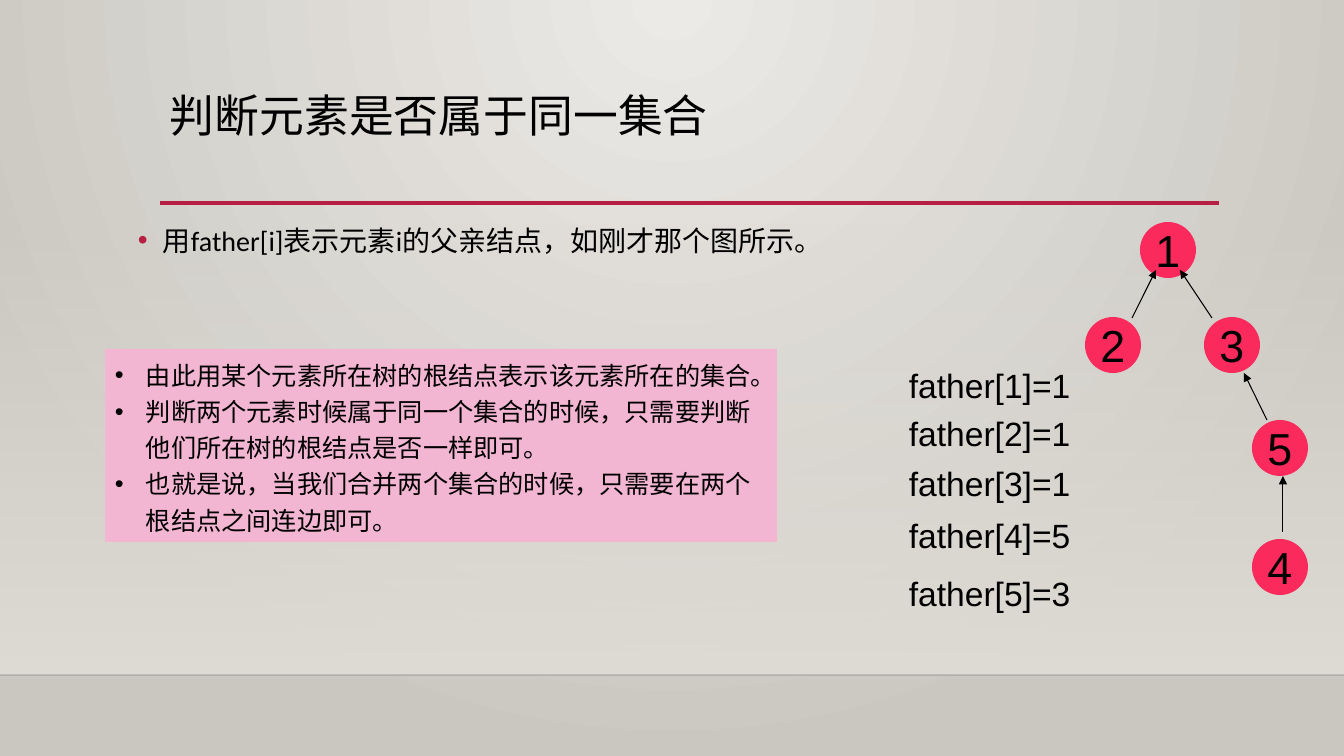
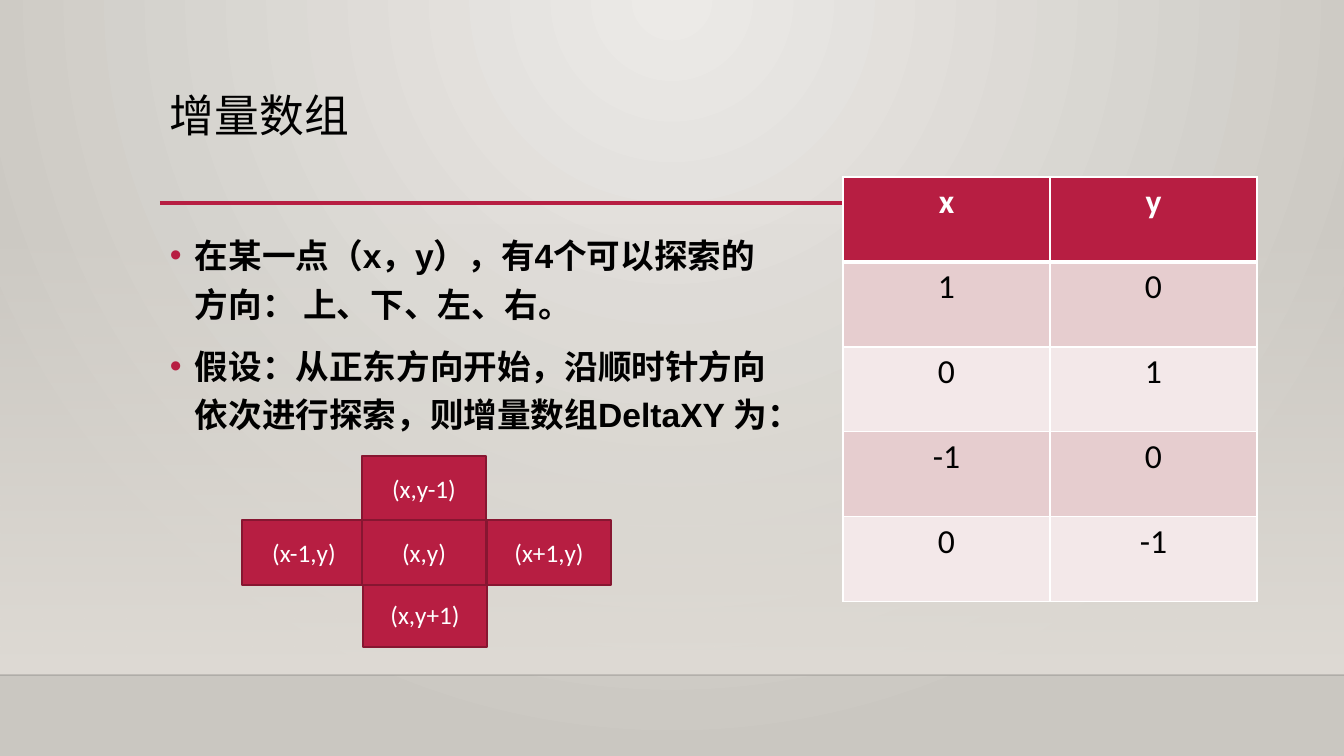
import lxml.etree
import pptx
import pptx.dml.color
import pptx.enum.shapes
import pptx.enum.text
import pptx.oxml.ns
import pptx.util

PX = 12192000 / 1344
SHAPE = pptx.enum.shapes.MSO_SHAPE
ALIGN = pptx.enum.text.PP_ALIGN
ANCHOR = pptx.enum.text.MSO_ANCHOR
qn = pptx.oxml.ns.qn


def px(n):
    return pptx.util.Emu(round(n * PX))


def rgb(hex_color):
    return pptx.dml.color.RGBColor.from_string(hex_color)


def sub(parent, tag, **attrs):
    return lxml.etree.SubElement(parent, qn(tag), attrs)


def set_alpha(element, *percents):
    for color, percent in zip(element.iter(qn("a:srgbClr")), percents):
        sub(color, "a:alpha", val=str(percent * 1000))


class Deck:
    RED, DARK_RED, PINK, NODE = "B71E42", "871631", "F2B5D2", "FA2B5C"
    BLACK, WHITE = "000000", "FFFFFF"
    BANDS = ("F3E8E9", "E6CDCF")

    def __init__(self):
        self.prs = pptx.Presentation()
        self.prs.slide_width, self.prs.slide_height = px(1344), px(756)
        self.s = None

    def slide(self, title):
        self.s = self.prs.slides.add_slide(self.prs.slide_layouts[6])
        # Radial background
        self.gradient(self.s.background.fill, "ECEAE7", "CAC7C1")
        grad = next(self.s.element.iter(qn("a:gradFill")))
        grad.remove(grad.find(qn("a:lin")))
        circle = sub(grad, "a:path")
        circle.set("path", "circle")
        sub(circle, "a:fillToRect", l="43000", t="0", r="43000", b="100000")
        # Fading band, floor line and title rule
        band = self.shape(SHAPE.RECTANGLE, 0, 223, 1344, 452)
        self.gradient(band.fill, "DFDBD5", "DFDBD5")
        band.fill.gradient_angle = 270
        set_alpha(band.element.spPr, 0, 100)
        floor = self.line(0, 675, 1344, 675, "000001", 1)
        set_alpha(floor.element.spPr, 20)
        self.line(160, 203, 1219, 203, self.RED, 2.5)
        self.textbox(160, 89, 1059, 115, [title], size=32, spacing=0.9)

    def gradient(self, fill, *colors):
        fill.gradient()
        for stop, color, pos in zip(fill.gradient_stops, colors, (0, 1)):
            stop.color.rgb, stop.position = rgb(color), pos

    def shape(self, kind, x, y, w, h, fill=None, line=None):
        sp = self.s.shapes.add_shape(kind, px(x), px(y), px(w), px(h))
        sp.shadow.inherit = False
        if fill:
            sp.fill.solid()
            sp.fill.fore_color.rgb = rgb(fill)
        if line:
            sp.line.color.rgb = rgb(line)
            sp.line.width = pptx.util.Pt(1.25)
        else:
            sp.line.fill.background()
        return sp

    def line(self, x1, y1, x2, y2, color, width, arrow=False):
        c = self.s.shapes.add_connector(
            pptx.enum.shapes.MSO_CONNECTOR.STRAIGHT, px(x1), px(y1), px(x2), px(y2))
        c.line.color.rgb = rgb(color)
        c.line.width = pptx.util.Pt(width)
        if arrow:
            sub(c.element.spPr.find(qn("a:ln")), "a:tailEnd", type="triangle")
        sub(c.element.spPr, "a:effectLst")
        return c

    def put_text(self, tf, lines, size, font="Calibri", color=BLACK, bold=False,
                 align=ALIGN.LEFT, spacing=None, before=0, indent=0, bullet=None):
        for i, text in enumerate(lines):
            p = tf.add_paragraph() if i else tf.paragraphs[0]
            p.alignment = align
            p.space_before = pptx.util.Pt(before)
            if spacing:
                p.line_spacing = spacing
            if bullet:
                pPr = p._p.get_or_add_pPr()
                pPr.set("marL", str(px(indent)))
                pPr.set("indent", str(-px(indent)))
                sub(sub(pPr, "a:buClr"), "a:srgbClr", val=bullet)
                sub(pPr, "a:buFont", typeface="Arial")
                sub(pPr, "a:buChar", char="•")
            r = p.add_run()
            r.text = text
            r.font.size, r.font.name, r.font.bold = pptx.util.Pt(size), font, bold
            r.font.color.rgb = rgb(color)

    def textbox(self, x, y, w, h, lines, **style):
        tf = self.s.shapes.add_textbox(px(x), px(y), px(w), px(h)).text_frame
        tf.word_wrap = True
        self.put_text(tf, lines, **style)

    def bullets(self, x, y, w, h, lines, **style):
        self.textbox(x, y, w, h, lines, before=10, indent=25, bullet=self.RED, **style)

    def panel(self, x, y, w, h, lines):
        tf = self.shape(SHAPE.RECTANGLE, x, y, w, h, self.PINK).text_frame
        tf.word_wrap, tf.vertical_anchor = True, ANCHOR.TOP
        self.put_text(tf, lines, size=18, spacing=1.2, indent=31, bullet=self.BLACK)

    def node(self, x, y, text):
        tf = self.shape(SHAPE.OVAL, x, y, 56, 56, self.NODE).text_frame
        tf.word_wrap, tf.vertical_anchor = False, ANCHOR.MIDDLE
        self.put_text(tf, [text], size=32, font="Arial", align=ALIGN.CENTER)

    def cell(self, x, y, text):
        sp = self.shape(SHAPE.RECTANGLE, x, y, 124, 65, self.RED, self.DARK_RED)
        sp.text_frame.vertical_anchor = ANCHOR.MIDDLE
        self.put_text(sp.text_frame, [text], size=18, color=self.WHITE, align=ALIGN.CENTER)

    def border(self, cell, side, width):
        ln = sub(cell._tc.get_or_add_tcPr(), "a:ln" + side, w=str(pptx.util.Pt(width)))
        sub(sub(ln, "a:solidFill"), "a:srgbClr", val=self.WHITE)

    def table(self, x, y, col_w, row_h, rows):
        n, m = len(rows), len(rows[0])
        table = self.s.shapes.add_table(
            n, m, px(x), px(y), px(col_w * m), px(row_h * n)).table
        for col in table.columns:
            col.width = px(col_w)
        for i, row in enumerate(rows):
            table.rows[i].height = px(row_h)
            for j, text in enumerate(row):
                cell = table.cell(i, j)
                for side in "LRTB":
                    under_header = (i, side) in ((0, "B"), (1, "T"))
                    self.border(cell, side, 3 if under_header else 1)
                cell.fill.solid()
                cell.fill.fore_color.rgb = rgb(self.BANDS[i % 2] if i else self.RED)
                self.put_text(cell.text_frame, [text], size=24, bold=i == 0,
                              color=self.BLACK if i else self.WHITE, align=ALIGN.CENTER)


def same_set_slide(deck):
    deck.slide("判断元素是否属于同一集合")
    deck.bullets(128, 215, 691, 47, ["用father[i]表示元素i的父亲结点，如刚才那个图所示。"],
                 size=20, spacing=1.1)
    # Tree
    nodes = {1: (1140, 222), 2: (1085, 317), 3: (1204, 317), 5: (1252, 420), 4: (1252, 539)}
    for number, (x, y) in nodes.items():
        deck.node(x, y, str(number))
    for ends in ((1132, 318, 1156, 270), (1212, 318, 1180, 270),
                 (1267, 420, 1244, 373), (1283, 532, 1283, 476)):
        deck.line(*ends, deck.BLACK, 0.75, arrow=True)
    # Father of each node
    fathers = ((360, 1), (408, 1), (458, 1), (510, 5), (568, 3))
    for i, (y, father) in enumerate(fathers, 1):
        deck.textbox(899, y, 262, 50, [f"father[{i}]={father}"], size=24, font="Arial")
    # Conclusion
    deck.panel(105, 349, 672, 193, [
        "由此用某个元素所在树的根结点表示该元素所在的集合。",
        "判断两个元素时候属于同一个集合的时候，只需要判断他们所在树的根结点是否一样即可。",
        "也就是说，当我们合并两个集合的时候，只需要在两个根结点之间连边即可。"])


def delta_slide(deck):
    deck.slide("增量数组")
    deck.bullets(160, 222, 635, 283, [
        "在某一点（x，y），有4个可以探索的方向： 上、下、左、右。",
        "假设：从正东方向开始，沿顺时针方向依次进行探索，则增量数组DeltaXY 为："],
        size=24, font="Arial", bold=True, spacing=1.2)
    deck.table(843, 177, 207, 85, [
        ("x", "y"), ("1", "0"), ("0", "1"), ("-1", "0"), ("0", "-1")])
    # Neighbours, with the centre cell on top
    for x, y, text in ((362, 456, "(x,y-1)"), (242, 520, "(x-1,y)"), (487, 520, "(x+1,y)"),
                       (363, 582, "(x,y+1)"), (362, 520, "(x,y)")):
        deck.cell(x, y, text)


def main():
    deck = Deck()
    same_set_slide(deck)
    delta_slide(deck)
    deck.prs.save("out.pptx")


if __name__ == "__main__":
    main()
